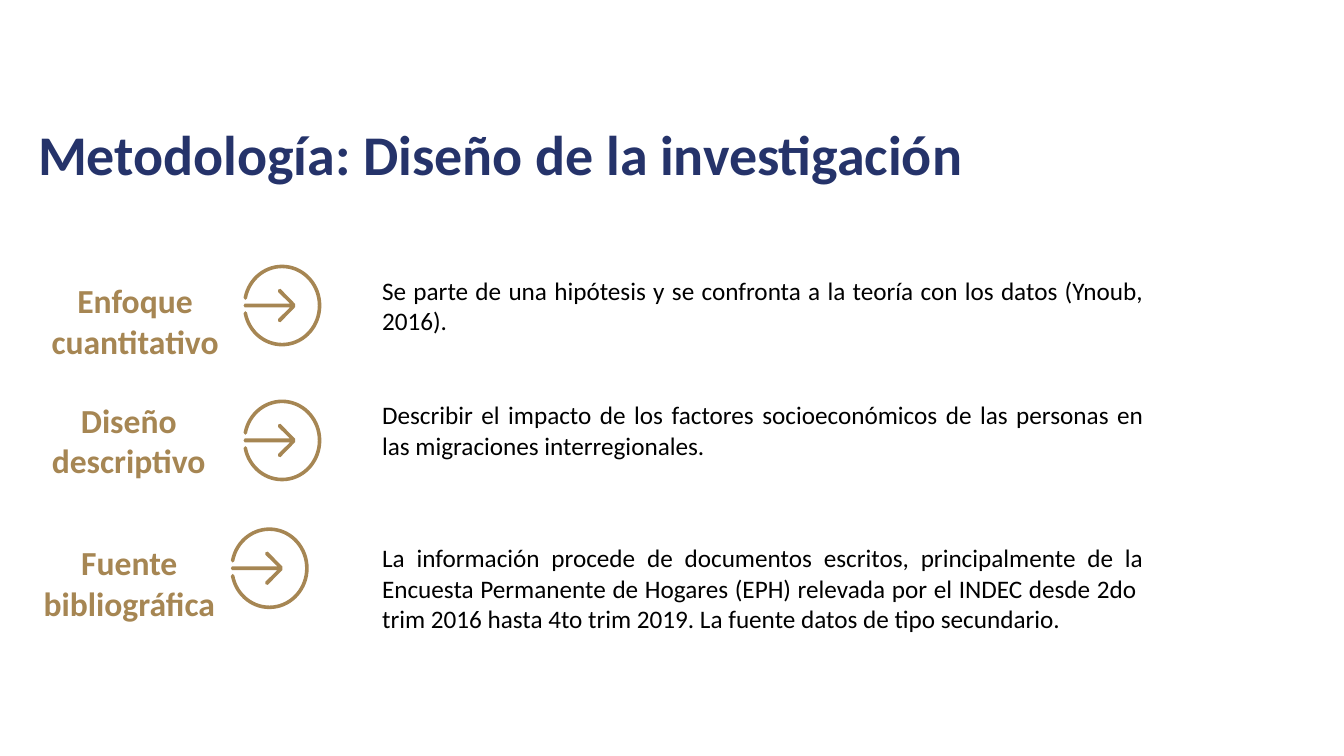
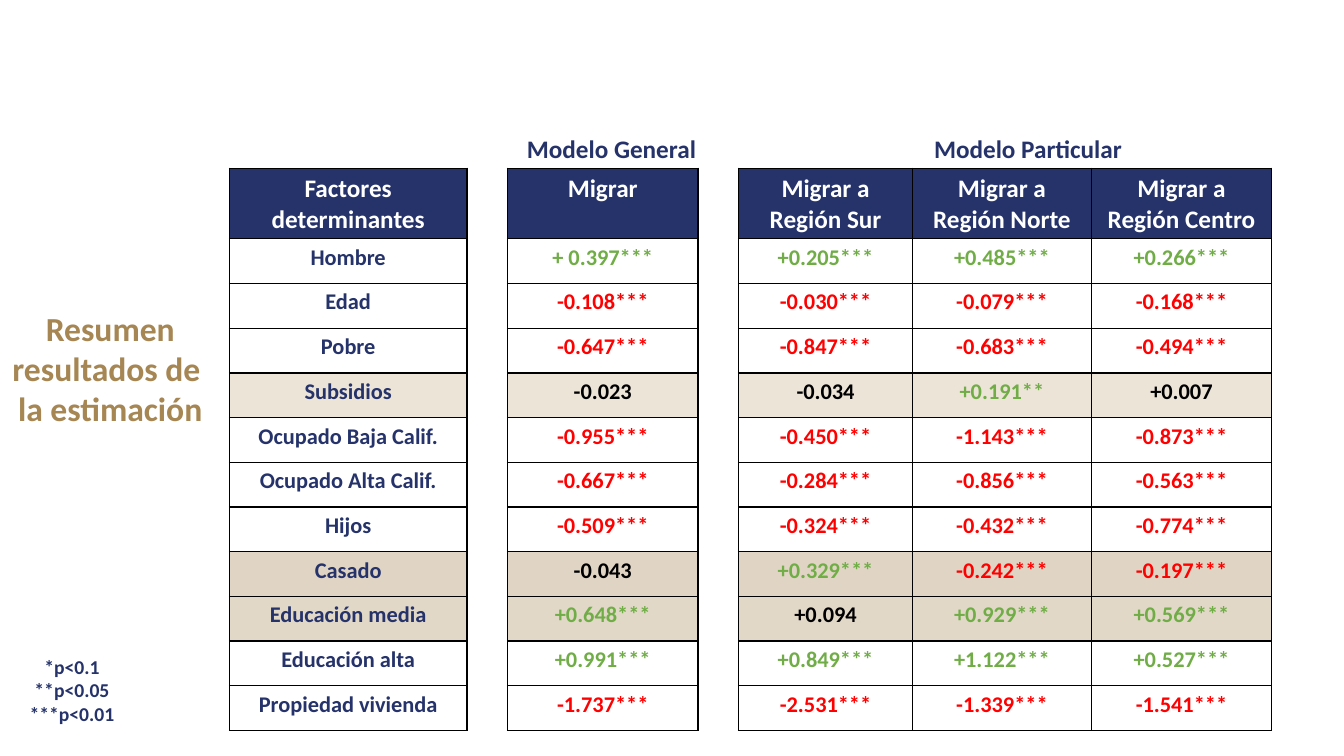
import math
from dataclasses import dataclass

import lxml.etree
import pptx
import pptx.dml.color
import pptx.enum.text
import pptx.oxml.ns
import pptx.util

Cm = pptx.util.Cm
Pt = pptx.util.Pt
Align = pptx.enum.text.PP_ALIGN
qn = pptx.oxml.ns.qn
Point = tuple[float, float]

FONT = "Calibri"
COLOURS = {
    "navy": "25336A",
    "gold": "A68653",
    "sand": "D4BC9F",
    "beige": "E2D8C8",
    "green": "70AD47",
    "red": "FF0000",
    "black": "000000",
    "white": "FFFFFF",
}


@dataclass(frozen=True)
class TextStyle:
    size: float
    colour: str
    bold: bool = True
    align: Align = Align.CENTER
    line_spacing: float = 1.0


@dataclass(frozen=True)
class Area:
    left: float
    top: float
    width: float
    height: float


@dataclass(frozen=True)
class MethodStep:
    label: str
    label_area: Area
    icon_x: float
    icon_y: float
    detail: str
    detail_top: float


@dataclass(frozen=True)
class Factor:
    name: str
    values: tuple[str, str, str, str]
    fill: str = "white"
    opacity: int = 100


TITLE = TextStyle(40, "navy", align=Align.LEFT, line_spacing=0.9)
LABEL = TextStyle(24, "gold")
DETAIL = TextStyle(18, "black", bold=False, align=Align.JUSTIFY)
MODEL = TextStyle(18, "navy", align=Align.LEFT)
LEGEND = TextStyle(14, "navy")
HEADER = TextStyle(18, "white")
FACTOR = TextStyle(16, "navy")

STEPS = (
    MethodStep(
        "Enfoque\ncuantitativo", Area(1.03, 6.94, 4.75, 2.31), 7.11, 7.7,
        "Se parte de una hipótesis y se confronta a la teoría con los datos "
        "(Ynoub, 2016).", 6.81,
    ),
    MethodStep(
        "Diseño\ndescriptivo", Area(1.02, 9.95, 4.45, 2.31), 7.11, 11.1,
        "Describir el impacto de los factores socioeconómicos de las personas "
        "en las migraciones interregionales.", 9.95,
    ),
    MethodStep(
        "Fuente bibliográfica", Area(0.72, 13.54, 5.08, 2.31), 6.79, 14.32,
        "La información procede de documentos escritos, principalmente de la "
        "Encuesta Permanente de Hogares (EPH) relevada por el INDEC desde 2do  "
        "trim 2016 hasta 4to trim 2019. La fuente datos de tipo secundario.", 13.55,
    ),
)

HEADERS = (
    "Factores determinantes", "Migrar", "Migrar a Región Sur",
    "Migrar a Región Norte", "Migrar a Región Centro",
)
FACTORS = (
    Factor("Hombre", ("+ 0.397***", "+0.205***", "+0.485***", "+0.266***")),
    Factor("Edad", ("-0.108***", "-0.030***", "-0.079***", "-0.168***")),
    Factor("Pobre", ("-0.647***", "-0.847***", "-0.683***", "-0.494***")),
    Factor("Subsidios", ("-0.023", "-0.034", "+0.191**", "+0.007"), "sand", 40),
    Factor("Ocupado Baja Calif.", ("-0.955***", "-0.450***", "-1.143***", "-0.873***")),
    Factor("Ocupado Alta Calif.", ("-0.667***", "-0.284***", "-0.856***", "-0.563***")),
    Factor("Hijos", ("-0.509***", "-0.324***", "-0.432***", "-0.774***")),
    Factor("Casado", ("-0.043", "+0.329***", "-0.242***", "-0.197***"), "gold", 34),
    Factor("Educación media", ("+0.648***", "+0.094", "+0.929***", "+0.569***"), "beige"),
    Factor("Educación alta", ("+0.991***", "+0.849***", "+1.122***", "+0.527***")),
    Factor("Propiedad vivienda", ("-1.737***", "-2.531***", "-1.339***", "-1.541***")),
)
COLUMN_WIDTHS = (5.99, 1.02, 4.8, 1.02, 4.39, 4.5, 4.55)
TEXT_COLUMNS = (0, 2, 4, 5, 6)
TABLE_HEIGHT = 14.17
HEADER_HEIGHT = 1.78
ROW_HEIGHT = (TABLE_HEIGHT - HEADER_HEIGHT) / len(FACTORS)

ARROW_TOP = (
    (-0.97, 0), (-0.94, -0.05), (0.2, -0.05), (-0.1, -0.34),
    (-0.1, -0.4), (-0.04, -0.42), (0.33, -0.04),
)
ARROW = ARROW_TOP + tuple((x, -y) for x, y in reversed(ARROW_TOP[1:]))


def colour(name: str) -> pptx.dml.color.RGBColor:
    return pptx.dml.color.RGBColor.from_string(COLOURS[name])


def write(text_frame, text: str, style: TextStyle) -> None:
    text_frame.text = text
    for para in text_frame.paragraphs:
        para.alignment = style.align
        para.line_spacing = style.line_spacing
        for span in para.runs:
            span.font.name = FONT
            span.font.size = Pt(style.size)
            span.font.bold = style.bold
            span.font.color.rgb = colour(style.colour)


def add_text(page, area: Area, text: str, style: TextStyle, wrap: bool = True) -> None:
    box = page.shapes.add_textbox(
        Cm(area.left), Cm(area.top), Cm(area.width), Cm(area.height)
    )
    box.text_frame.word_wrap = wrap
    write(box.text_frame, text, style)


def arc_points(radius_x: float, radius_y: float, start: float, end: float) -> list[Point]:
    turn = math.radians(end - start) / 4
    pull = 4 / 3 * math.tan(turn / 4)
    points = []
    for quarter in range(4):
        first = math.radians(start) + quarter * turn
        for angle, reach in ((first, pull), (first + turn, -pull), (first + turn, 0)):
            points.append((
                radius_x * (math.cos(angle) - reach * math.sin(angle)),
                radius_y * (math.sin(angle) + reach * math.cos(angle)),
            ))
    return points


def cap_points(start: Point, end: Point, reach: float) -> list[Point]:
    return [(start[0], start[1] + reach), (end[0], end[1] + reach), end]


def ring_points() -> list[Point]:
    outer = arc_points(0.99, 1.03, -169, 169)
    inner = arc_points(0.9, 0.94, 169, -169)
    outer_start = (outer[-1][0], -outer[-1][1])
    inner_start = (inner[-1][0], -inner[-1][1])
    return [
        outer_start, *outer, *cap_points(outer[-1], inner_start, -0.06),
        *inner, *cap_points(inner[-1], outer_start, 0.06),
    ]


def add_arrow_icon(page, centre_x: float, centre_y: float) -> None:
    ring, arrow = (
        [(Cm(centre_x + x), Cm(centre_y + y)) for x, y in outline]
        for outline in (ring_points(), ARROW)
    )
    builder = page.shapes.build_freeform(*ring[0])
    builder.add_line_segments(ring[1:])
    builder.move_to(*arrow[0])
    builder.add_line_segments(arrow[1:])
    icon = builder.convert_to_shape()
    icon.shadow.inherit = False
    icon.fill.solid()
    icon.fill.fore_color.rgb = colour("gold")
    icon.line.fill.background()

    segments = list(icon._element.iter(qn("a:lnTo")))[:len(ring) - 1]
    for first in range(0, len(segments), 3):
        curve = lxml.etree.Element(qn("a:cubicBezTo"))
        segments[first].addprevious(curve)
        for segment in segments[first:first + 3]:
            curve.append(segment[0])
            segment.getparent().remove(segment)


def set_borders(cell, visible: str) -> None:
    properties = cell._tc.get_or_add_tcPr()
    for side in "LRTB":
        line = lxml.etree.SubElement(properties, qn(f"a:ln{side}"), w=str(Pt(1)))
        if side in visible:
            fill = lxml.etree.SubElement(line, qn("a:solidFill"))
            lxml.etree.SubElement(fill, qn("a:srgbClr"), val=COLOURS["black"])
        else:
            lxml.etree.SubElement(line, qn("a:noFill"))


def set_fill(cell, name: str, opacity: int = 100) -> None:
    cell.fill.solid()
    cell.fill.fore_color.rgb = colour(name)
    if opacity < 100:
        fill = cell._tc.get_or_add_tcPr().find(qn("a:solidFill"))
        lxml.etree.SubElement(
            fill.find(qn("a:srgbClr")), qn("a:alpha"), val=str(opacity * 1000)
        )


def value_style(value: str) -> TextStyle:
    if not value.endswith("*"):
        return TextStyle(16, "black")
    return TextStyle(16, "green" if value.startswith("+") else "red")


def fill_row(table, row: int, texts, styles, fill: str, opacity: int = 100) -> None:
    for column in range(len(COLUMN_WIDTHS)):
        cell = table.cell(row, column)
        is_gap = column not in TEXT_COLUMNS
        set_borders(cell, "LR" if is_gap else "LRTB")
        set_fill(cell, "white" if is_gap else fill, 100 if is_gap else opacity)
    for column, text, style in zip(TEXT_COLUMNS, texts, styles):
        write(table.cell(row, column).text_frame, text, style)


def add_results_table(page) -> None:
    table = page.shapes.add_table(
        len(FACTORS) + 1, len(COLUMN_WIDTHS), Cm(5.78), Cm(4.24),
        Cm(sum(COLUMN_WIDTHS)), Cm(TABLE_HEIGHT),
    ).table
    table.horz_banding = False
    for column, width in zip(table.columns, COLUMN_WIDTHS):
        column.width = Cm(width)
    for index, row in enumerate(table.rows):
        row.height = Cm(ROW_HEIGHT if index else HEADER_HEIGHT)

    fill_row(table, 0, HEADERS, [HEADER] * len(HEADERS), "navy")
    for index, factor in enumerate(FACTORS, start=1):
        styles = [FACTOR, *map(value_style, factor.values)]
        texts = (factor.name, *factor.values)
        fill_row(table, index, texts, styles, factor.fill, factor.opacity)


def build_method_page(page) -> None:
    add_text(
        page, Area(0.71, 3.07, 30.71, 2.87),
        "Metodología: Diseño de la investigación", TITLE,
    )
    for step in STEPS:
        add_text(page, step.label_area, step.label, LABEL)
        add_arrow_icon(page, step.icon_x, step.icon_y)
        add_text(page, Area(9.38, step.detail_top, 19.69, 2.57), step.detail, DETAIL)


def build_results_page(page) -> None:
    add_text(
        page, Area(-0.74, 7.63, 7.04, 3.33),
        "Resumen resultados de \nla estimación", LABEL,
    )
    add_results_table(page)
    add_text(page, Area(13.03, 3.23, 4.8, 1.02), "Modelo General", MODEL, wrap=False)
    add_text(page, Area(23.29, 3.23, 5.28, 1.02), "Modelo Particular", MODEL, wrap=False)
    add_text(
        page, Area(0.48, 16.37, 2.67, 2.06),
        "*p<0.1\n**p<0.05\n***p<0.01", LEGEND, wrap=False,
    )


def main() -> None:
    deck = pptx.Presentation()
    deck.slide_width = Cm(33.87)
    deck.slide_height = Cm(19.05)
    for build in (build_method_page, build_results_page):
        build(deck.slides.add_slide(deck.slide_layouts[6]))
    deck.save("out.pptx")


if __name__ == "__main__":
    main()
